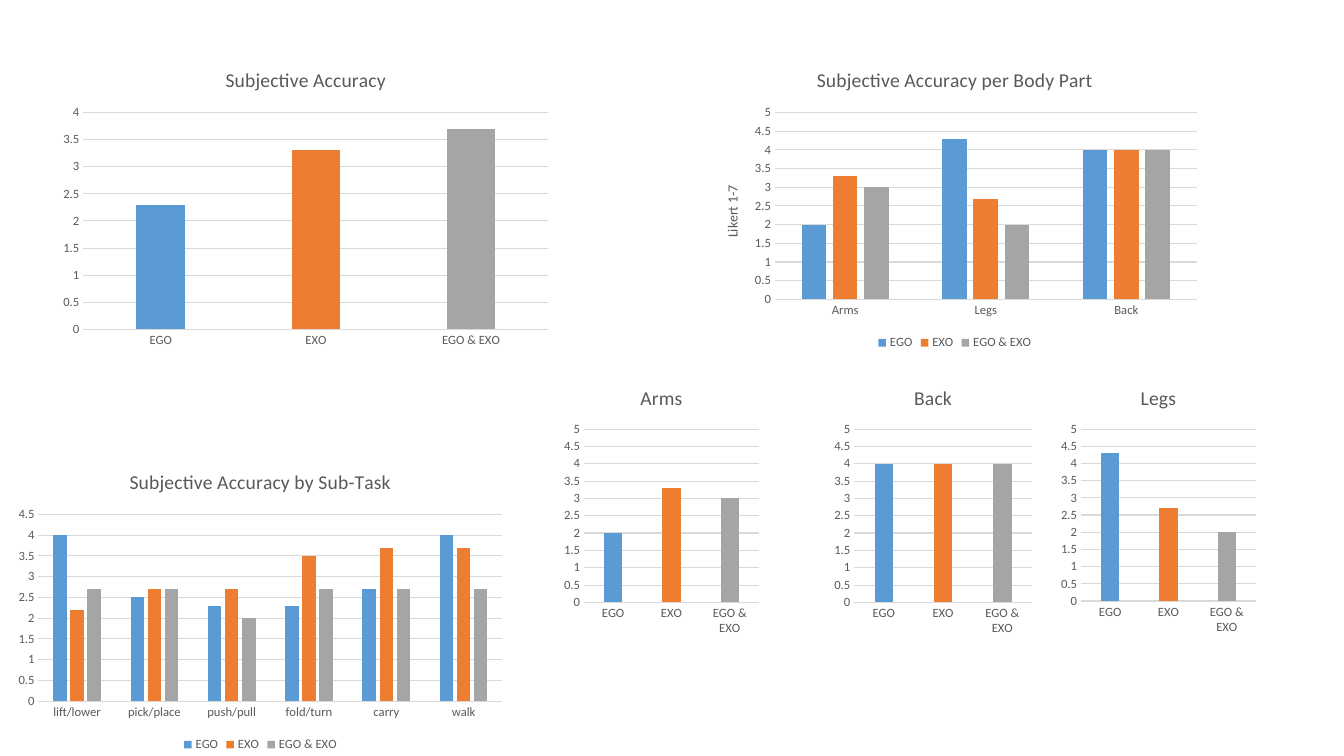
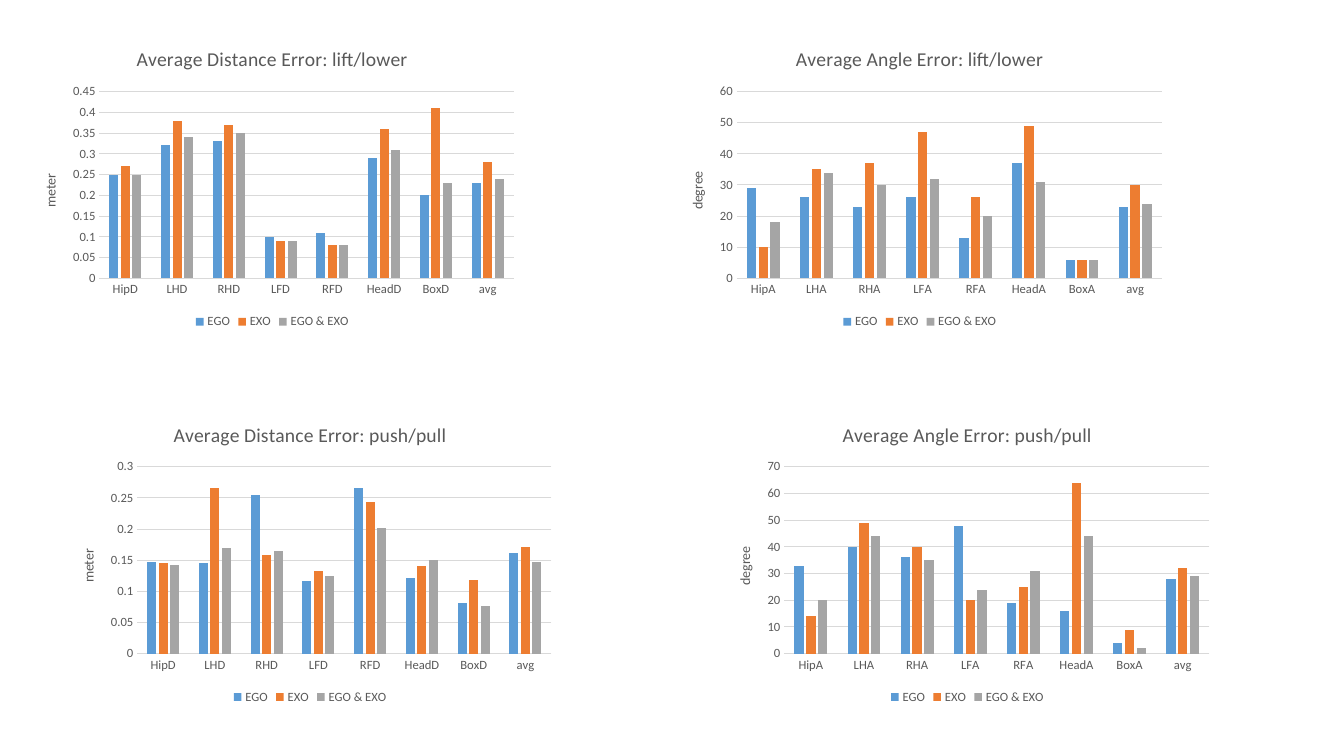
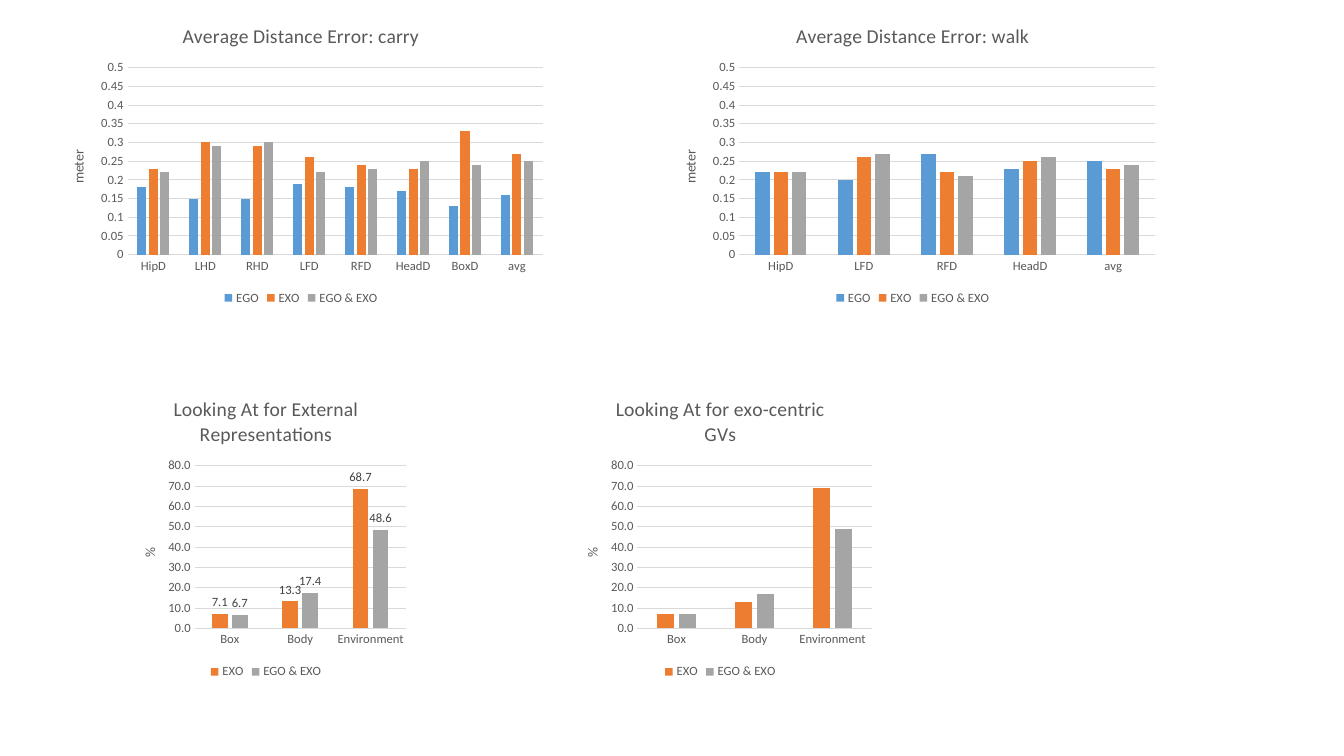
from pptx import Presentation
from pptx.chart.data import CategoryChartData
from pptx.dml.color import RGBColor
from pptx.enum.chart import (XL_CHART_TYPE, XL_LABEL_POSITION,
                             XL_LEGEND_POSITION, XL_TICK_MARK)
from pptx.util import Pt

FONT = "Calibri"
HEX = {"EGO": "5B9BD5", "EXO": "ED7D31", "EGO & EXO": "A5A5A5",
       "text": "595959", "label": "404040", "grid": "D9D9D9"}
VIEWS = ["EGO", "EXO", "EGO & EXO"]
DIST = ["HipD", "LHD", "RHD", "LFD", "RFD", "HeadD", "BoxD", "avg"]
ANGLE = ["HipA", "LHA", "RHA", "LFA", "RFA", "HeadA", "BoxA", "avg"]
WALK = ["HipD", "LFD", "RFD", "HeadD", "avg"]
TASKS = ["lift/lower", "pick/place", "push/pull", "fold/turn", "carry", "walk"]
LOOK = ["Box", "Body", "Environment"]
# Mean score per view, for each body part
PARTS = {"Arms": (2, 3.3, 3), "Legs": (4.3, 2.7, 2), "Back": (4, 4, 4)}


def tint(name):
    return RGBColor.from_string(HEX[name])


def style(font, size=9, color="text"):
    font.name, font.size, font.bold = FONT, Pt(size), False
    font.color.rgb = tint(color)


def write(frame, text, **form):
    frame.text = text
    style(frame.paragraphs[0].runs[0].font, **form)


def fill(part, name):
    part.format.fill.solid()
    part.format.fill.fore_color.rgb = tint(name)


class Deck:
    def __init__(self):
        self.prs = Presentation()
        self.prs.slide_width, self.prs.slide_height = Pt(960), Pt(540)
        self.slide = None

    def page(self):
        self.slide = self.prs.slides.add_slide(self.prs.slide_layouts[6])

    def axes(self, chart, top, step, unit, form):
        cat, val = chart.category_axis, chart.value_axis
        for axis in (cat, val):
            axis.major_tick_mark = axis.minor_tick_mark = XL_TICK_MARK.NONE
            style(axis.tick_labels.font)
        cat.format.line.color.rgb = tint("grid")
        cat.format.line.width = Pt(0.75)
        val.format.line.fill.background()
        val.has_major_gridlines = True
        grid = val.major_gridlines.format.line
        grid.color.rgb, grid.width = tint("grid"), Pt(0.75)
        val.minimum_scale, val.maximum_scale, val.major_unit = 0, top, step
        val.tick_labels.number_format = form
        val.tick_labels.number_format_is_linked = False
        if unit:
            frame = val.axis_title.text_frame
            write(frame, unit, size=10)
            body = frame._txBody.bodyPr  # turn the title upright
            body.set("rot", "-5400000")
            body.set("vert", "horz")

    def bars(self, box, title, cats, rows, top, step, unit=None,
             form="General", labels=False):
        data = CategoryChartData()
        data.categories = cats
        for name, vals in rows.items():
            data.add_series(name, vals)
        chart = self.slide.shapes.add_chart(
            XL_CHART_TYPE.COLUMN_CLUSTERED, *map(Pt, box), data).chart
        style(chart.font, size=10)
        chart.has_title = True
        write(chart.chart_title.text_frame, title, size=14)
        self.axes(chart, top, step, unit, form)
        plot = chart.plots[0]
        plot.gap_width, plot.overlap = 219, -27
        plot.vary_by_categories = False

        # A lone series is coloured bar by bar and needs no legend
        chart.has_legend = len(rows) > 1
        if chart.has_legend:
            chart.legend.position = XL_LEGEND_POSITION.BOTTOM
            chart.legend.include_in_layout = False
            style(chart.legend.font)
            for row in plot.series:
                fill(row, row.name)
        else:
            fill(plot.series[0], VIEWS[0])
            for i, view in enumerate(VIEWS[1:], 1):
                fill(plot.series[0].points[i], view)
        if labels:
            for row in plot.series:
                tags = row.data_labels
                tags.show_value = True
                tags.position = XL_LABEL_POSITION.OUTSIDE_END
                tags.number_format = form
                tags.number_format_is_linked = False
                style(tags.font, color="label")


def rows(*vals):
    """Name each row by its view; two rows leave out the first view."""
    return dict(zip(VIEWS[-len(vals):], vals))


def main():
    deck = Deck()

    # Subjective accuracy
    deck.page()
    name = "Subjective Accuracy"
    deck.bars((38, 37, 361, 216), name, VIEWS, {name: (2.3, 3.3, 3.7)}, 4, 0.5)
    deck.bars((502, 37, 360, 216), name + " per Body Part", list(PARTS),
              rows(*zip(*PARTS.values())), 5, 0.5, "Likert 1-7")
    deck.bars((6, 324, 360, 216), name + " by Sub-Task", TASKS,
              rows((4, 2.5, 2.3, 2.3, 2.7, 4),
                   (2.2, 2.7, 2.7, 3.5, 3.7, 3.7),
                   (2.7, 2.7, 2, 2.7, 2.7, 2.7)), 4.5, 0.5)
    for part, x, w, h in (("Arms", 400, 145, 194), ("Back", 593, 147, 194),
                          ("Legs", 755, 145, 193)):
        deck.bars((x, 264, w, h), part, VIEWS, {part: PARTS[part]}, 5, 0.5)

    # Errors for lift/lower and push/pull
    deck.page()
    far, turn = "Average Distance Error: ", "Average Angle Error: "
    deck.bars((15, 22, 359, 216), far + "lift/lower", DIST,
              rows((0.25, 0.32, 0.33, 0.1, 0.11, 0.29, 0.2, 0.23),
                   (0.27, 0.38, 0.37, 0.09, 0.08, 0.36, 0.41, 0.28),
                   (0.25, 0.34, 0.35, 0.09, 0.08, 0.31, 0.23, 0.24)),
              0.45, 0.05, "meter")
    deck.bars((477, 22, 360, 216), turn + "lift/lower", ANGLE,
              rows((29, 26, 23, 26, 13, 37, 6, 23),
                   (10, 35, 37, 47, 26, 49, 6, 30),
                   (18, 34, 30, 32, 20, 31, 6, 24)), 60, 10, "degree")
    deck.bars((42, 290, 359, 216), far + "push/pull", DIST,
              rows((0.147, 0.146, 0.254, 0.117, 0.266, 0.122, 0.081, 0.162),
                   (0.146, 0.266, 0.158, 0.132, 0.243, 0.14, 0.118, 0.172),
                   (0.143, 0.17, 0.165, 0.124, 0.201, 0.151, 0.077, 0.147)),
              0.3, 0.05, "meter")
    deck.bars((511, 290, 360, 216), turn + "push/pull", ANGLE,
              rows((33, 40, 36, 48, 19, 16, 4, 28),
                   (14, 49, 40, 20, 25, 64, 9, 32),
                   (20, 44, 35, 24, 31, 44, 2, 29)), 70, 10, "degree")

    # Errors for carry and walk, and gaze shares
    deck.page()
    deck.bars((35, 5, 360, 216), far + "carry", DIST,
              rows((0.18, 0.15, 0.15, 0.19, 0.18, 0.17, 0.13, 0.16),
                   (0.23, 0.3, 0.29, 0.26, 0.24, 0.23, 0.33, 0.27),
                   (0.22, 0.29, 0.3, 0.22, 0.23, 0.25, 0.24, 0.25)),
              0.5, 0.05, "meter")
    deck.bars((472, 5, 360, 216), far + "walk", WALK,
              rows((0.22, 0.2, 0.27, 0.23, 0.25),
                   (0.22, 0.26, 0.22, 0.25, 0.23),
                   (0.22, 0.27, 0.21, 0.26, 0.24)), 0.5, 0.05, "meter")
    deck.bars((86, 272, 208, 216), "Looking At for External Representations",
              LOOK, rows((7.1, 13.3, 68.7), (6.7, 17.4, 48.6)),
              80, 10, "%", "0.0", labels=True)
    deck.bars((402, 272, 225, 216), "Looking At for exo-centric GVs",
              LOOK, rows((7, 13, 69), (7, 17, 49)), 80, 10, "%", "0.0")

    deck.prs.save("out.pptx")


if __name__ == "__main__":
    main()
